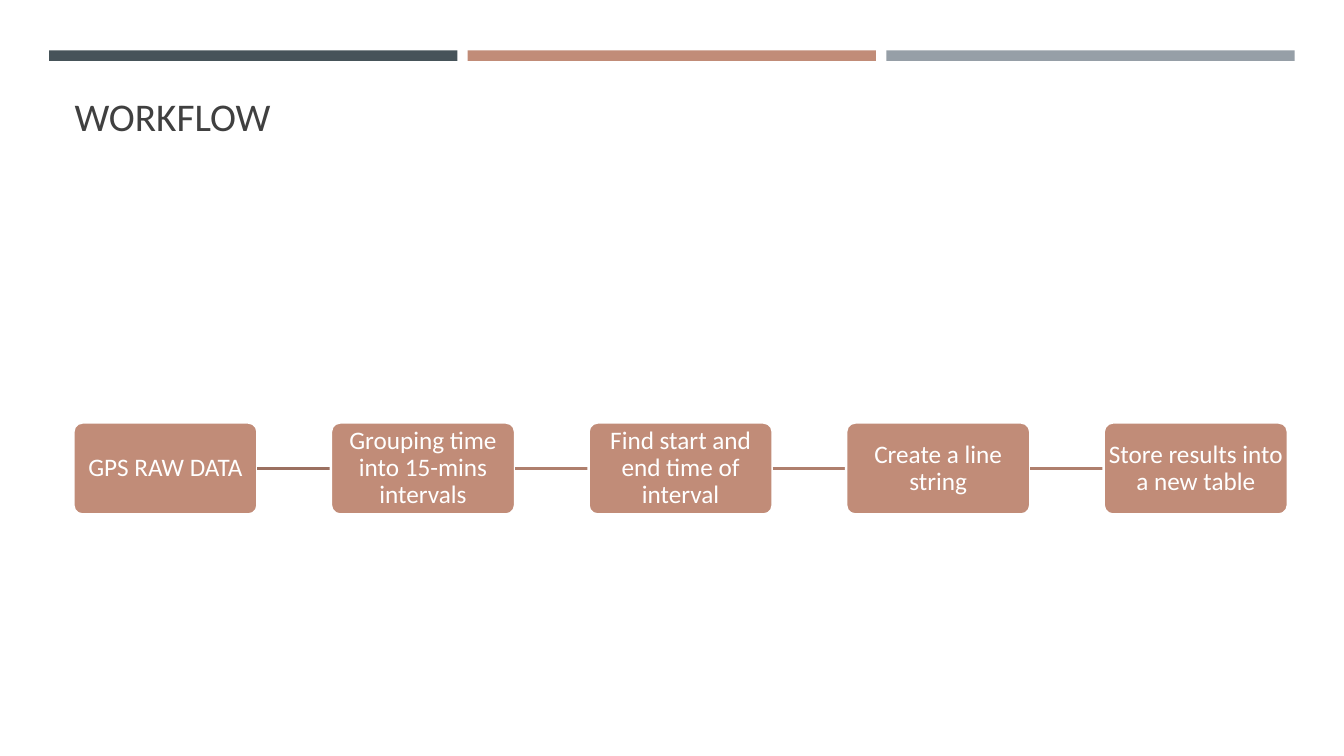
from lxml.etree import SubElement
from pptx import Presentation
from pptx.dml.color import RGBColor
from pptx.enum.shapes import MSO_CONNECTOR, MSO_SHAPE
from pptx.enum.text import MSO_ANCHOR, MSO_AUTO_SIZE, PP_ALIGN
from pptx.oxml.ns import qn
from pptx.util import Pt

FONT = "Calibri"
WHITE = RGBColor(0xFF, 0xFF, 0xFF)
INK = RGBColor(0x40, 0x40, 0x40)
SLATE = RGBColor(0x46, 0x53, 0x59)
CLAY = RGBColor(0xC1, 0x8C, 0x78)
GREY = RGBColor(0x96, 0x9F, 0xA7)
DARK_LINK = RGBColor(0x9B, 0x70, 0x60)
LINK = RGBColor(0xAF, 0x7F, 0x6D)

STEPS = [
    "GPS RAW DATA",
    "Grouping time into 15-mins intervals",
    "Find start and end time of interval",
    "Create a line string",
    "Store results into a new table",
]


class Deck:
    """Holds the text style and the current slide."""

    def __init__(self, prs):
        self.font = FONT
        self.line_width = Pt(1.75)
        self.s = prs.slides.add_slide(prs.slide_layouts[5])

    def add_run(self, p, text, size, color):
        r = p.add_run()
        r.text = text
        r.font.name = self.font
        r.font.size = Pt(size)
        r.font.color.rgb = color

    def title(self, text, x, y, w, h):
        sp = self.s.shapes.title
        sp.left, sp.top, sp.width, sp.height = Pt(x), Pt(y), Pt(w), Pt(h)
        tf = sp.text_frame
        tf.auto_size = MSO_AUTO_SIZE.NONE
        tf.vertical_anchor = MSO_ANCHOR.BOTTOM
        p = tf.paragraphs[0]
        p.alignment = PP_ALIGN.LEFT
        self.add_run(p, text, 28, INK)

    def block(self, kind, x, y, w, h, fill):
        sp = self.s.shapes.add_shape(kind, Pt(x), Pt(y), Pt(w), Pt(h))
        sp.shadow.inherit = False
        sp.fill.solid()
        sp.fill.fore_color.rgb = fill
        sp.line.fill.background()
        return sp

    def step(self, text, x, y, w, h):
        sp = self.block(MSO_SHAPE.ROUNDED_RECTANGLE, x, y, w, h, CLAY)
        sp.adjustments[0] = 0.1
        sp.line.color.rgb = WHITE
        sp.line.width = self.line_width
        tf = sp.text_frame
        tf.word_wrap = True
        tf.vertical_anchor = MSO_ANCHOR.MIDDLE
        tf.margin_left = tf.margin_right = Pt(0.8)
        tf.margin_top = tf.margin_bottom = Pt(0.8)
        p = tf.paragraphs[0]
        p.alignment = PP_ALIGN.CENTER
        p.line_spacing = 0.9
        self.add_run(p, text, 18, WHITE)

    def link(self, x1, x2, y, color):
        c = self.s.shapes.add_connector(
            MSO_CONNECTOR.STRAIGHT, Pt(x1), Pt(y), Pt(x2), Pt(y))
        c.line.color.rgb = color
        c.line.width = self.line_width
        SubElement(c._element.spPr, qn("a:effectLst"))


def main():
    prs = Presentation()
    prs.slide_width, prs.slide_height = Pt(960), Pt(540)
    deck = Deck(prs)

    # Three bars across the top
    for i, color in enumerate((SLATE, CLAY, GREY)):
        deck.block(MSO_SHAPE.RECTANGLE, 35.1 + i * 299, 36, 291.6, 7.5, color)

    deck.title("WORKFLOW", 46.1, 55.4, 868.3, 47.5)

    # Chain of steps, each linked to the next
    left, top, width, height, pitch = 52.4, 301.8, 131.5, 65.7, 184
    for i, text in enumerate(STEPS):
        x = left + i * pitch
        deck.step(text, x, top, width, height)
        if i < len(STEPS) - 1:
            deck.link(x + width, x + pitch, top + height / 2,
                      LINK if i else DARK_LINK)

    prs.save("out.pptx")


if __name__ == "__main__":
    main()
